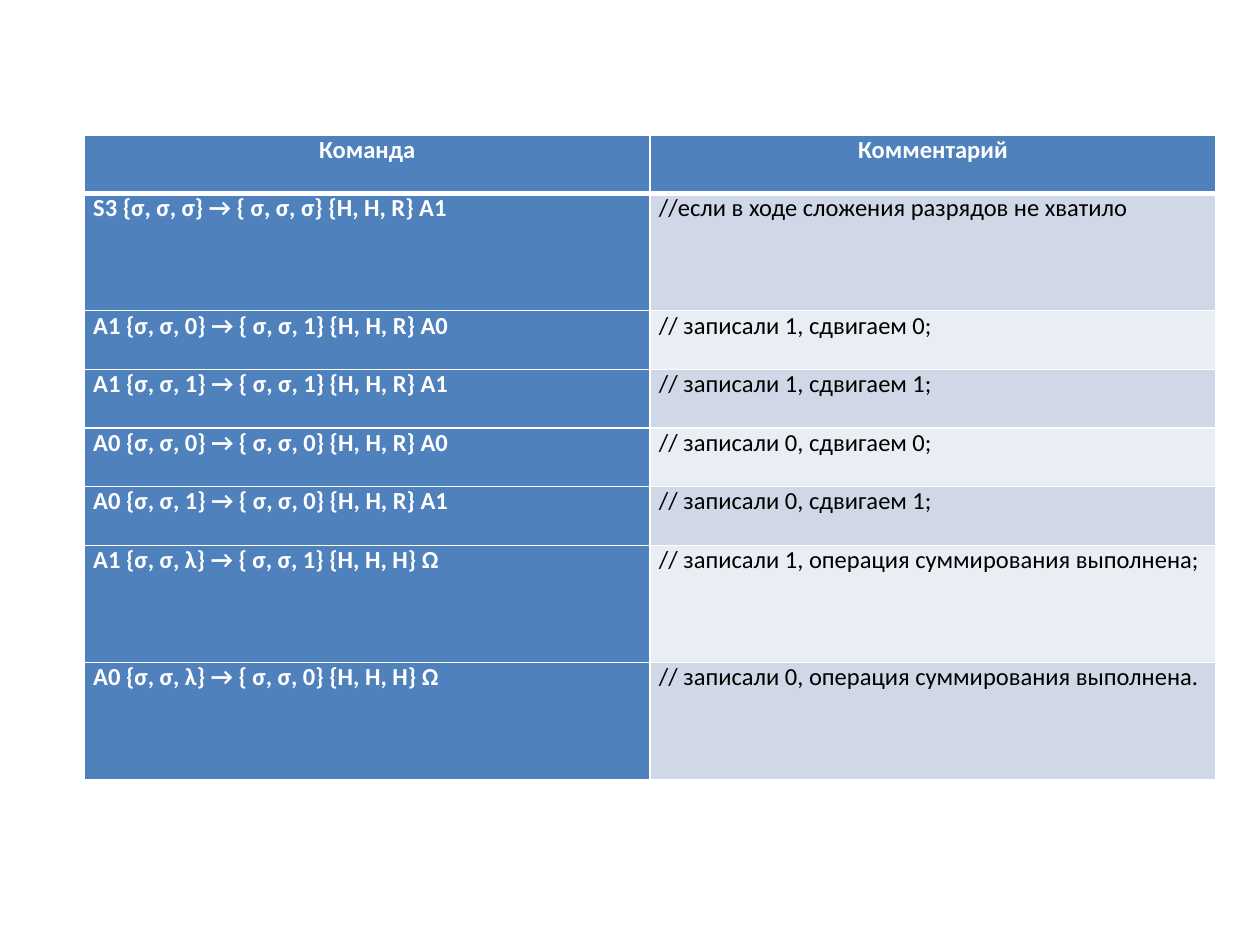
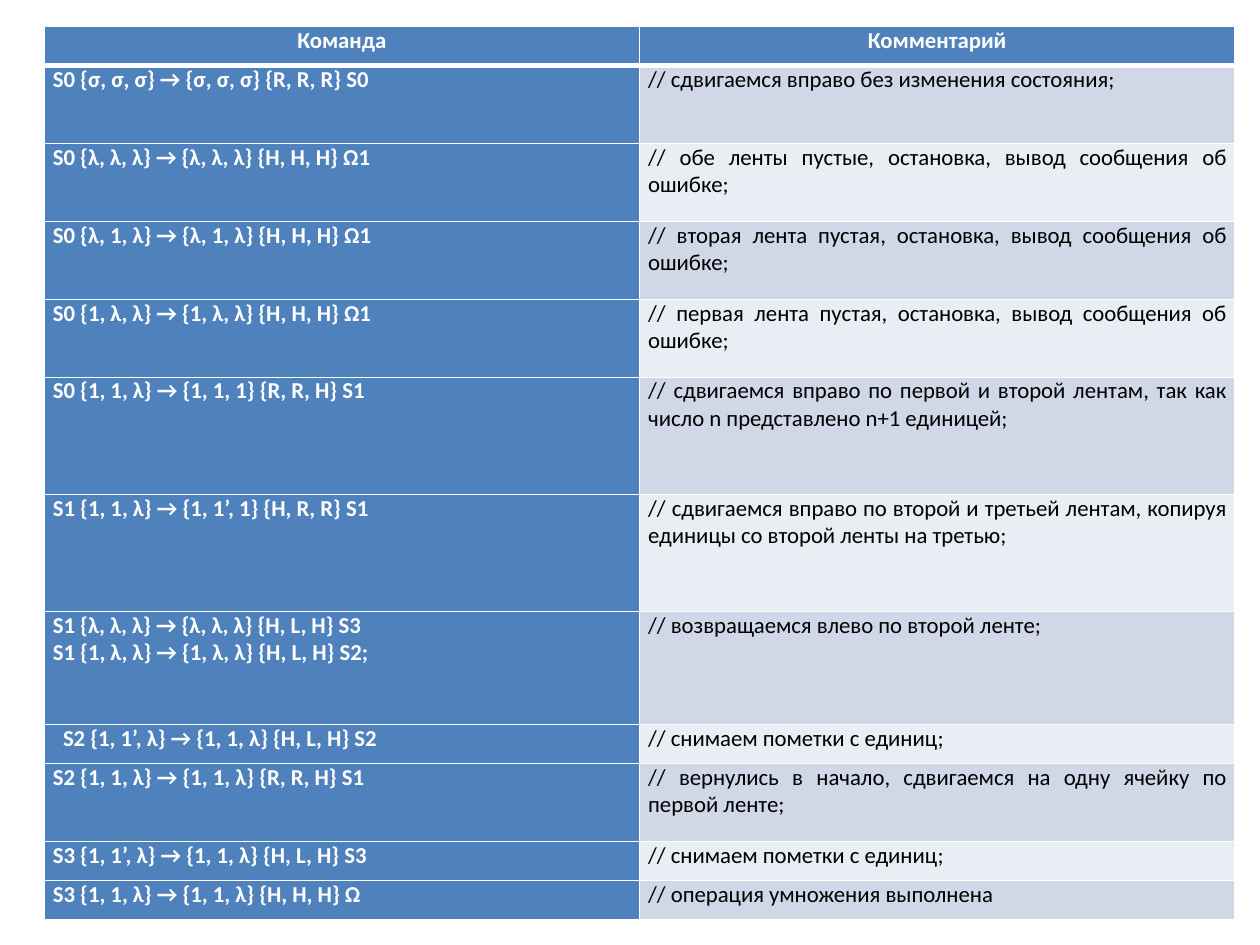
"""Two slides of Turing machine commands with comments: addition and multiplication."""
from lxml.etree import SubElement as Sub
from pptx import Presentation
from pptx.dml.color import RGBColor as RGB
from pptx.enum.text import PP_ALIGN as Align
from pptx.oxml.ns import qn
from pptx.util import Inches, Pt

HUES = {"head": "4F81BD", "odd": "D0D8E8", "even": "E9EDF4", "line": "FFFFFF",
        "light": "FFFFFF", "dark": "000000"}
FONT = "Calibri"
HEAD = (1, "Команда", "Комментарий")

ADD = [
    (2, "S3 {σ, σ, σ} → { σ, σ, σ} {H, H, R} A1", "//если в ходе сложения разрядов не хватило"),
    (1, "A1 {σ, σ, 0} → { σ, σ, 1} {H, H, R} A0", "// записали 1, сдвигаем 0;"),
    (1, "A1 {σ, σ, 1} → { σ, σ, 1} {H, H, R} A1", "// записали 1, сдвигаем 1;"),
    (1, "A0 {σ, σ, 0} → { σ, σ, 0} {H, H, R} A0", "// записали 0, сдвигаем 0;"),
    (1, "A0 {σ, σ, 1} → { σ, σ, 0} {H, H, R} A1", "// записали 0, сдвигаем 1;"),
    (2, "A1 {σ, σ, λ} → { σ, σ, 1} {H, H, H} Ω", "// записали 1, операция суммирования выполнена;"),
    (2, "A0 {σ, σ, λ} → { σ, σ, 0} {H, H, H} Ω", "// записали 0, операция суммирования выполнена."),
]
TIMES = [
    (2, "S0 {σ, σ, σ} → {σ, σ, σ} {R, R, R} S0", "// сдвигаемся вправо без изменения состояния;"),
    (2, "S0 {λ, λ, λ} → {λ, λ, λ} {H, H, H} Ω1",
     "// обе ленты пустые, остановка, вывод сообщения об ошибке;"),
    (2, "S0 {λ, 1, λ} → {λ, 1, λ} {H, H, H} Ω1",
     "// вторая лента пустая, остановка, вывод сообщения об ошибке;"),
    (2, "S0 {1, λ, λ} → {1, λ, λ} {H, H, H} Ω1",
     "// первая лента пустая, остановка, вывод сообщения об ошибке;"),
    (3, "S0 {1, 1, λ} → {1, 1, 1} {R, R, H} S1",
     "// сдвигаемся вправо по первой и второй лентам, так как число n представлено n+1 единицей;"),
    (3, "S1 {1, 1, λ} → {1, 1’, 1} {H, R, R} S1",
     "// сдвигаемся вправо по второй и третьей лентам, копируя единицы со второй ленты на третью;"),
    (2.9, "S1 {λ, λ, λ} → {λ, λ, λ} {H, L, H} S3\nS1 {1, λ, λ} → {1, λ, λ} {H, L, H} S2;",
     "// возвращаемся влево по второй ленте;"),
    (1, "S2 {1, 1’, λ} → {1, 1, λ} {H, L, H} S2", "// снимаем пометки с единиц;"),
    (2, "S2 {1, 1, λ} → {1, 1, λ} {R, R, H} S1",
     "// вернулись в начало, сдвигаемся на одну ячейку по первой ленте;"),
    (1, "S3 {1, 1’, λ} → {1, 1, λ} {H, L, H} S3", "// снимаем пометки с единиц;"),
    (1, "S3 {1, 1, λ} → {1, 1, λ} {H, H, H} Ω", "// операция умножения выполнена"),
]
PAGES = [(ADD, 14, (0.67, 1.07, 8.98, 5.12)), (TIMES, 13, (0.35, 0.21, 9.45, 7.09))]


def edge(cell, side, width):
    """Draw one solid border of a cell."""
    line = Sub(cell._tc.get_or_add_tcPr(), qn(f"a:ln{side}"), w=str(Pt(width)))
    Sub(Sub(line, qn("a:solidFill")), qn("a:srgbClr"), val=HUES["line"])


def write(cell, text, size, hue, bold, align):
    """Fill a cell with one paragraph for each line of text."""
    frame = cell.text_frame
    for num, part in enumerate(text.split("\n")):
        para = frame.add_paragraph() if num else frame.paragraphs[0]
        para.alignment = align
        run = para.add_run()
        run.text = part
        run.font.name, run.font.size, run.font.bold = FONT, Pt(size), bold
        run.font.color.rgb = RGB.from_string(HUES[hue])


deck = Presentation()
deck.slide_width, deck.slide_height = Inches(10), Inches(7.5)

for body, size, box in PAGES:
    slide = deck.slides.add_slide(deck.slide_layouts[6])
    rows = [HEAD] + body
    grid = slide.shapes.add_table(len(rows), 2, *map(Inches, box)).table
    unit = box[3] / sum(row[0] for row in rows)
    for col in grid.columns:
        col.width = Inches(box[2] / 2)
    for r, (units, *texts) in enumerate(rows):
        grid.rows[r].height = Inches(unit * units)
        for c, text in enumerate(texts):
            cell = grid.cell(r, c)
            cell.margin_left = cell.margin_right = Inches(0.07)
            cell.margin_top = cell.margin_bottom = 0
            if text.startswith("S2 {1, 1’"):
                cell.margin_left = Inches(0.15)
            for side in "LRTB":
                edge(cell, side, 3 if (r, side) in ((0, "B"), (1, "T")) else 1)
            blue = r == 0 or c == 0
            fill = "head" if blue else "odd" if r % 2 else "even"
            cell.fill.solid()
            cell.fill.fore_color.rgb = RGB.from_string(HUES[fill])
            write(cell, text, size, "light" if blue else "dark", blue,
                  Align.JUSTIFY if r else Align.CENTER)

deck.save("out.pptx")
